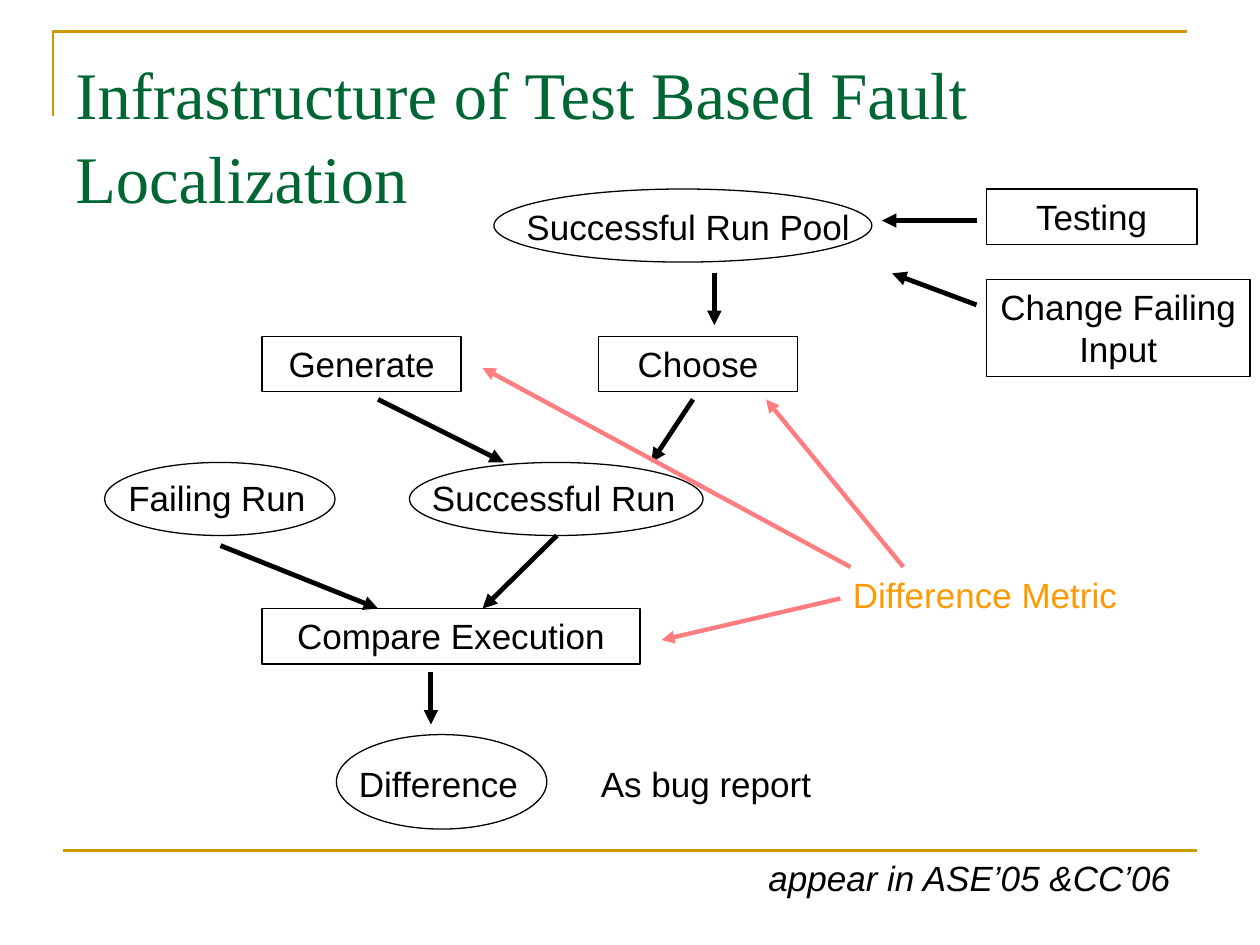
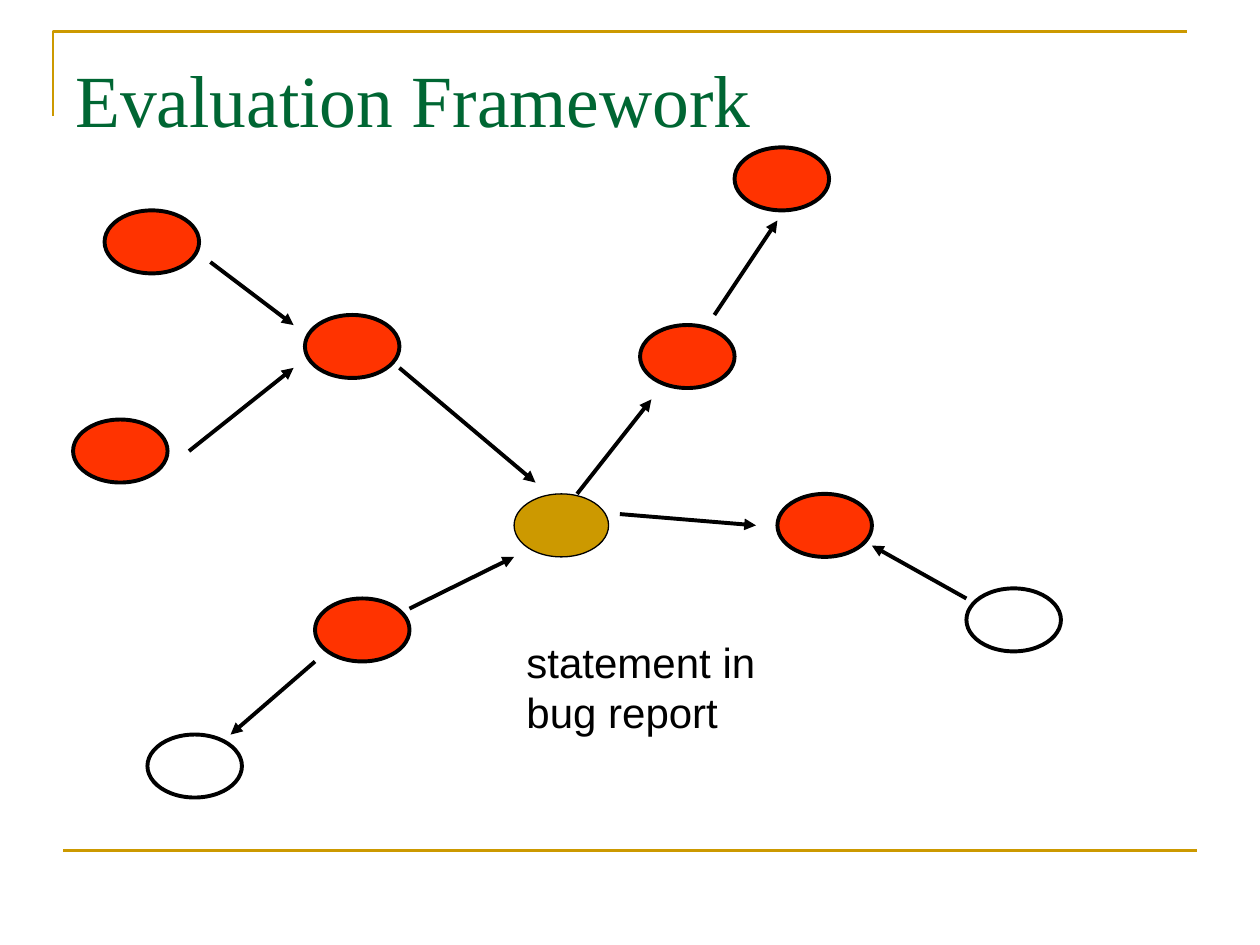
from pptx import Presentation, util as u
from pptx.dml.color import RGBColor
from pptx.enum import shapes, text
from pptx.oxml.ns import qn
from lxml import etree

COLORS = dict(gold="CC9900", green="006633", black="000000", red="FF3300",
              pink="FF7C80", orange="FF9900")
BODY = dict(name="Arial", size=u.Pt(20))
TITLE = dict(name="Times New Roman")
LABEL_H = 0.44
OVAL, RECT = shapes.MSO_SHAPE.OVAL, shapes.MSO_SHAPE.RECTANGLE


def rgb(name):
    return RGBColor.from_string(COLORS[name])


def set_line(sp, color, width):
    sp.line.color.rgb = rgb(color)
    sp.line.width = u.Pt(width)


def write(sp, words, fmt, color="black", align=text.PP_ALIGN.LEFT):
    tf = sp.text_frame
    frame = dict(word_wrap=True, vertical_anchor=text.MSO_ANCHOR.TOP,
                 margin_left=u.Inches(0.1), margin_right=u.Inches(0.1),
                 margin_top=u.Inches(0.05), margin_bottom=u.Inches(0.05))
    for key, value in frame.items():
        setattr(tf, key, value)
    p = tf.paragraphs[0]
    p.alignment = align
    r = p.add_run()
    r.text = words
    for key, value in fmt.items():
        setattr(r.font, key, value)
    r.font.color.rgb = rgb(color)
    return p


class Region:
    def __init__(self, s, box):
        self.shapes = s.shapes
        self.x, self.y, self.w, self.h = box

    def point(self, x, y):
        return u.Inches(self.x + x), u.Inches(self.y + y)

    def label(self, words, x, y, w, h=LABEL_H, color="black", fmt=BODY):
        sp = self.shapes.add_textbox(*self.point(x, y), u.Inches(w), u.Inches(h))
        return sp, write(sp, words, fmt, color)

    def shape(self, kind, x, y, w, h, fill=None, width=0.75):
        sp = self.shapes.add_shape(kind, *self.point(x, y), u.Inches(w), u.Inches(h))
        sp.shadow.inherit = False
        if fill:
            sp.fill.solid()
            sp.fill.fore_color.rgb = rgb(fill)
        else:
            sp.fill.background()
        set_line(sp, "black", width)
        return sp

    def step(self, words, x, y, w, h=LABEL_H):
        write(self.shape(RECT, x, y, w, h), words, BODY, align=text.PP_ALIGN.CENTER)

    def line(self, ends, color, width, arrow=True):
        sp = self.shapes.add_connector(shapes.MSO_CONNECTOR.STRAIGHT,
                                       *self.point(*ends[:2]), *self.point(*ends[2:]))
        set_line(sp, color, width)
        if arrow:
            tail = etree.SubElement(sp.line._get_or_add_ln(), qn("a:tailEnd"))
            tail.set("type", "triangle")
        etree.SubElement(sp._element.spPr, qn("a:effectLst"))


def add_frame(s, box):
    g = Region(s, box)
    fb = g.shapes.build_freeform(*g.point(0, 0.67))
    fb.add_line_segments([g.point(0, 0), g.point(g.w, 0)], close=False)
    sp = fb.convert_to_shape()
    sp.shadow.inherit = False
    sp.fill.background()
    set_line(sp, "gold", 1.5)
    g.line((0.08, g.h, g.w + 0.08, g.h), "gold", 1.5, arrow=False)


def add_title(s, box, words, size):
    g = Region(s, box)
    sp, p = g.label(words, 0, 0, g.w, g.h, "green", dict(TITLE, size=u.Pt(size)))
    sp.text_frame.margin_top = u.Inches(0.09)
    p.line_spacing = 1.05


def add_flow(s, box):
    g = Region(s, box)
    for step in [("Compare Execution", 1.25, 3.33, 3), ("Choose", 3.92, 1.17, 1.58),
                 ("Generate", 1.25, 1.17, 1.58), ("Testing", 7, 0, 1.67),
                 ("Change Failing Input", 7, 0.72, 2.09, 0.77)]:
        g.step(*step)
    for words, oval, label in [
            ("Failing Run", (0, 2.17, 1.83, 0.58), (0.09, 2.23, 1.75)),
            ("Successful Run", (2.42, 2.17, 2.33, 0.58), (2.5, 2.23, 2.42)),
            ("Difference", (1.84, 4.33, 1.67, 0.75), (1.92, 4.5, 1.58)),
            ("Successful Run Pool", (3.09, 0, 3, 0.58), (3.25, 0.08, 2.92))]:
        g.shape(OVAL, *oval)
        g.label(words, *label)
    g.label("As bug report", 3.84, 4.5, 2.5)
    g.label("Difference Metric", 5.84, 3, 2.75, color="orange")
    for ends in [(2.59, 3.83, 2.59, 4.25), (3.59, 2.75, 3, 3.33),
                 (0.92, 2.83, 2.17, 3.33), (4.67, 1.67, 4.34, 2.17),
                 (4.84, 0.67, 4.84, 1.08), (6.92, 0.25, 6.17, 0.25),
                 (6.92, 0.92, 6.25, 0.67), (2.17, 1.67, 3.17, 2.17)]:
        g.line(ends, "black", 2.75)
    for ends in [(5.84, 3.25, 4.42, 3.58), (6.34, 3, 5.25, 1.67), (5.92, 3, 3, 1.42)]:
        g.line(ends, "pink", 2.5)


def add_citation(s, box):
    g = Region(s, box)
    g.label("appear in ASE’05 &CC’06", 0, 0, g.w, g.h, fmt=dict(BODY, italic=True))


def add_graph(s, box):
    g = Region(s, box)
    node = 0.75, 0.5
    g.shape(OVAL, 3.5, 2.75, *node, fill="gold")
    for x, y in [(1.84, 1.33), (1.92, 3.58), (4.5, 1.41), (5.59, 2.75),
                 (0.25, 0.5), (0, 2.16), (5.25, 0)]:
        g.shape(OVAL, x, y, *node, fill="red", width=2.25)
    for x, y in [(7.09, 3.5), (0.59, 4.66)]:
        g.shape(OVAL, x, y, *node, width=2.25)
    for ends in [(2.59, 1.75, 3.67, 2.66), (4, 2.75, 4.59, 2),
                 (2.67, 3.66, 3.5, 3.25), (4.34, 2.91, 5.42, 3),
                 (1.92, 4.08, 1.25, 4.66), (1.09, 0.91, 1.75, 1.41),
                 (0.92, 2.41, 1.75, 1.75), (5.09, 1.33, 5.59, 0.58),
                 (7.09, 3.58, 6.34, 3.16)]:
        g.line(ends, "black", 2.25)
    g.label("statement in bug report", 3.5, 3.83, 2.08, 0.9, fmt=dict(BODY, size=u.Pt(24)))


def add_slide(prs, title, size):
    s = prs.slides.add_slide(prs.slide_layouts[6])
    add_frame(s, (0.42, 0.25, 9, 6.5))
    add_title(s, (0.5, 0.3, 9, 1.25), title, size)
    return s


def main():
    prs = Presentation()
    prs.slide_width, prs.slide_height = u.Inches(10), u.Inches(7.5)
    s = add_slide(prs, "Infrastructure of Test Based Fault Localization", 38)
    add_flow(s, (0.83, 1.5, 9.09, 5.08))
    add_citation(s, (6, 6.75, 3.58, LABEL_H))
    s = add_slide(prs, "Evaluation Framework", 42)
    add_graph(s, (0.58, 1.17, 7.84, 5.16))
    prs.save("out.pptx")


if __name__ == "__main__":
    main()
